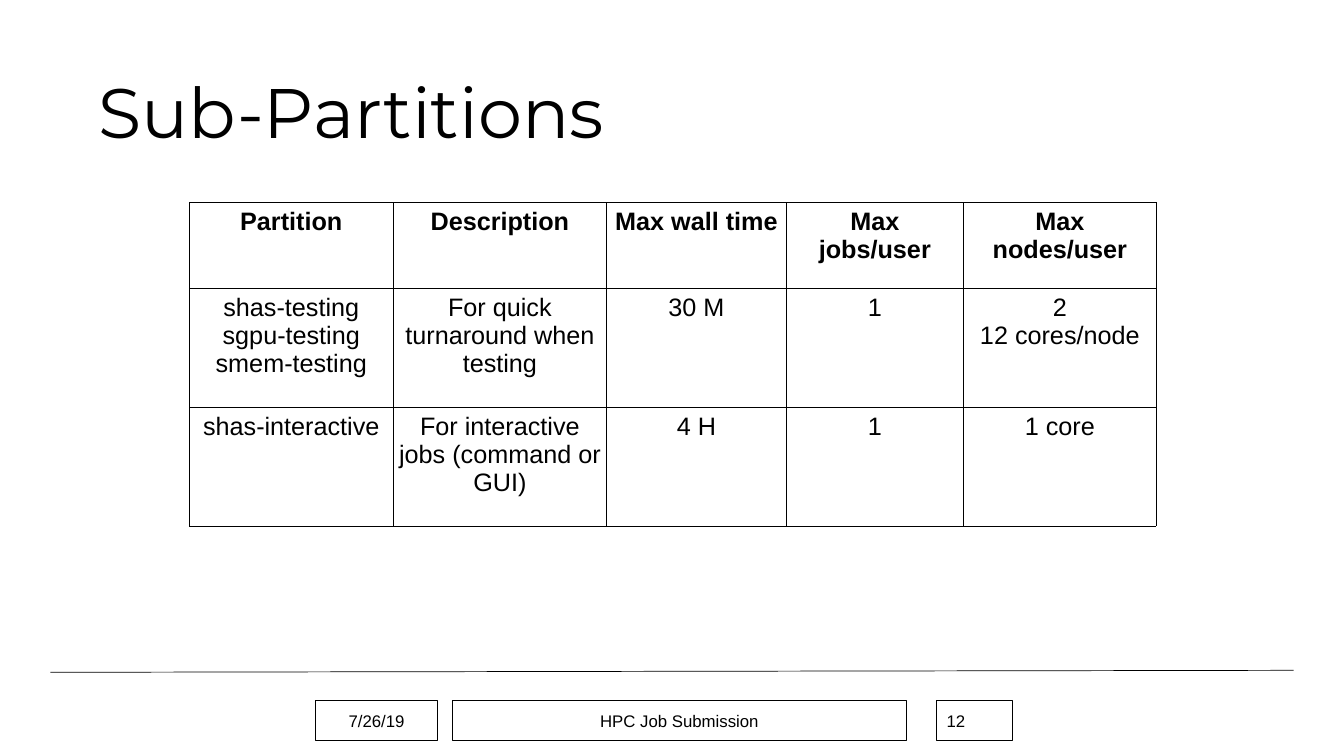
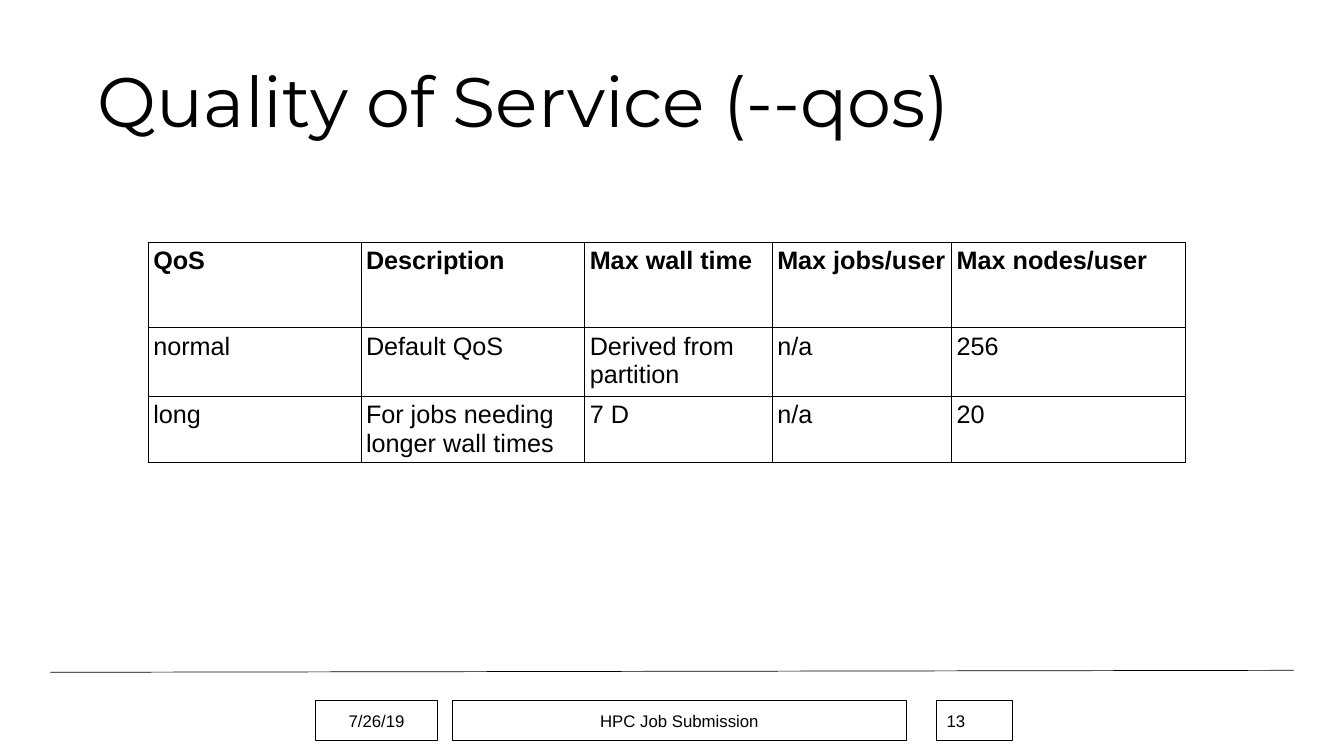
"""Build two slides with tables of job submission limits."""
from lxml.etree import SubElement
from pptx import Presentation
from pptx.dml.color import RGBColor
from pptx.enum.shapes import MSO_CONNECTOR as Connector, MSO_SHAPE as Shape
from pptx.enum.text import MSO_ANCHOR as Anchor, MSO_AUTO_SIZE as AutoSize, PP_ALIGN as Align
from pptx.oxml.ns import qn
from pptx.util import Inches, Pt

BLACK = RGBColor(0x00, 0x00, 0x00)
TITLE_FONT, BODY_FONT = "Montserrat", "Arial"
TITLE_SIZE, TABLE_SIZE, FOOTER_SIZE = Pt(50), Pt(18), Pt(12)
RULE_WIDTH, BOX_WIDTH = Pt(0.5), Pt(0.75)
CELL_MARGIN = Inches(0.05)
TITLE_WIDTH, TITLE_HEIGHT = 86.25, 19.33
FOOTER_TOP, FOOTER_HEIGHT = 92.67, 5.33
TITLE_ONLY = 5

presentation = Presentation()
presentation.slide_width = Inches(13.33)
presentation.slide_height = Inches(7.5)


def place(left, top, width, height):
    """Turn percentages of the slide's size into lengths."""
    across, down = presentation.slide_width / 100, presentation.slide_height / 100
    return [int(left * across), int(top * down), int(width * across), int(height * down)]


def add_text(paragraph, text, font_name, size, align, bold=False):
    """Add one formatted run to an aligned paragraph."""
    paragraph.alignment = align
    run = paragraph.add_run()
    run.text = text
    run.font.name = font_name
    run.font.size = size
    run.font.bold = bold
    run.font.color.rgb = BLACK


PAGES = [
    {
        "number": "12",
        "title": "Sub-Partitions",
        "title_at": (6.6, 5.6),
        "table_at": (14.1, 26.8),
        "align": Align.CENTER,
        "columns": [15.15, 15.9, 13.35, 13.2, 14.33],
        "rows": [11.33, 15.73, 15.73],
        "cells": [
            ["Partition", "Description", "Max wall time", "Max jobs/user", "Max nodes/user"],
            ["shas-testing\nsgpu-testing\nsmem-testing", "For quick turnaround when testing",
             "30 M", "1", "2\n12 cores/node"],
            ["shas-interactive", "For interactive jobs (command or GUI)", "4 H", "1", "1 core"],
        ],
    },
    {
        "number": "13",
        "title": "Quality of Service (--qos)",
        "title_at": (6.53, 4.27),
        "table_at": (11.03, 32),
        "align": Align.LEFT,
        "columns": [15.83, 16.65, 13.95, 13.35, 17.4],
        "rows": [11.33, 9.07, 8.8],
        "cells": [
            ["QoS", "Description", "Max wall time", "Max jobs/user", "Max nodes/user"],
            ["normal", "Default QoS", "Derived from partition", "n/a", "256"],
            ["long", "For jobs needing longer wall times", "7 D", "n/a", "20"],
        ],
    },
]

for page in PAGES:
    slide = presentation.slides.add_slide(presentation.slide_layouts[TITLE_ONLY])

    left, top, width, height = place(3.75, 88.93, 92.5, -0.26)
    rule = slide.shapes.add_connector(Connector.STRAIGHT, left, top, left + width, top + height)
    rule.line.color.rgb = BLACK
    rule.line.width = RULE_WIDTH
    SubElement(rule.element.spPr, qn("a:effectLst"))

    title = slide.shapes.title
    title.left, title.top, title.width, title.height = place(
        *page["title_at"], TITLE_WIDTH, TITLE_HEIGHT)
    title.text_frame.auto_size = AutoSize.NONE
    title.text_frame.vertical_anchor = Anchor.MIDDLE
    paragraph = title.text_frame.paragraphs[0]
    paragraph.line_spacing = 0.9
    add_text(paragraph, page["title"], TITLE_FONT, TITLE_SIZE, Align.LEFT)

    columns, rows = page["columns"], page["rows"]
    table = slide.shapes.add_table(
        len(rows), len(columns), *place(*page["table_at"], sum(columns), sum(rows))).table
    table.first_row = table.horz_banding = False
    for column, share in zip(table.columns, columns):
        column.width = place(0, 0, share, 0)[2]
    for row, share in zip(table.rows, rows):
        row.height = place(0, 0, 0, share)[3]
    for row_index, texts in enumerate(page["cells"]):
        for column_index, text in enumerate(texts):
            cell = table.cell(row_index, column_index)
            cell.margin_left = cell.margin_right = CELL_MARGIN
            cell.margin_top = cell.margin_bottom = CELL_MARGIN
            cell_properties = cell._tc.get_or_add_tcPr()
            for side in ("a:lnL", "a:lnR", "a:lnT", "a:lnB"):
                border = SubElement(cell_properties, qn(side), w=str(int(RULE_WIDTH)))
                border_fill = SubElement(border, qn("a:solidFill"))
                SubElement(border_fill, qn("a:srgbClr"), val=str(BLACK))
            cell.fill.background()
            frame = cell.text_frame
            for line_index, line in enumerate(text.split("\n")):
                paragraph = frame.add_paragraph() if line_index else frame.paragraphs[0]
                add_text(paragraph, line, BODY_FONT, TABLE_SIZE, page["align"],
                         bold=row_index == 0)

    for left, width, text, align in [
        (23.48, 9.08, "7/26/19", Align.CENTER),
        (33.68, 33.75, "HPC Job Submission", Align.CENTER),
        (69.69, 5.63, page["number"], Align.LEFT),
    ]:
        box = slide.shapes.add_shape(
            Shape.RECTANGLE, *place(left, FOOTER_TOP, width, FOOTER_HEIGHT))
        box.shadow.inherit = False
        box.fill.background()
        box.line.color.rgb = BLACK
        box.line.width = BOX_WIDTH
        box.text_frame.vertical_anchor = Anchor.MIDDLE
        add_text(box.text_frame.paragraphs[0], text, BODY_FONT, FOOTER_SIZE, align)

presentation.save("out.pptx")
